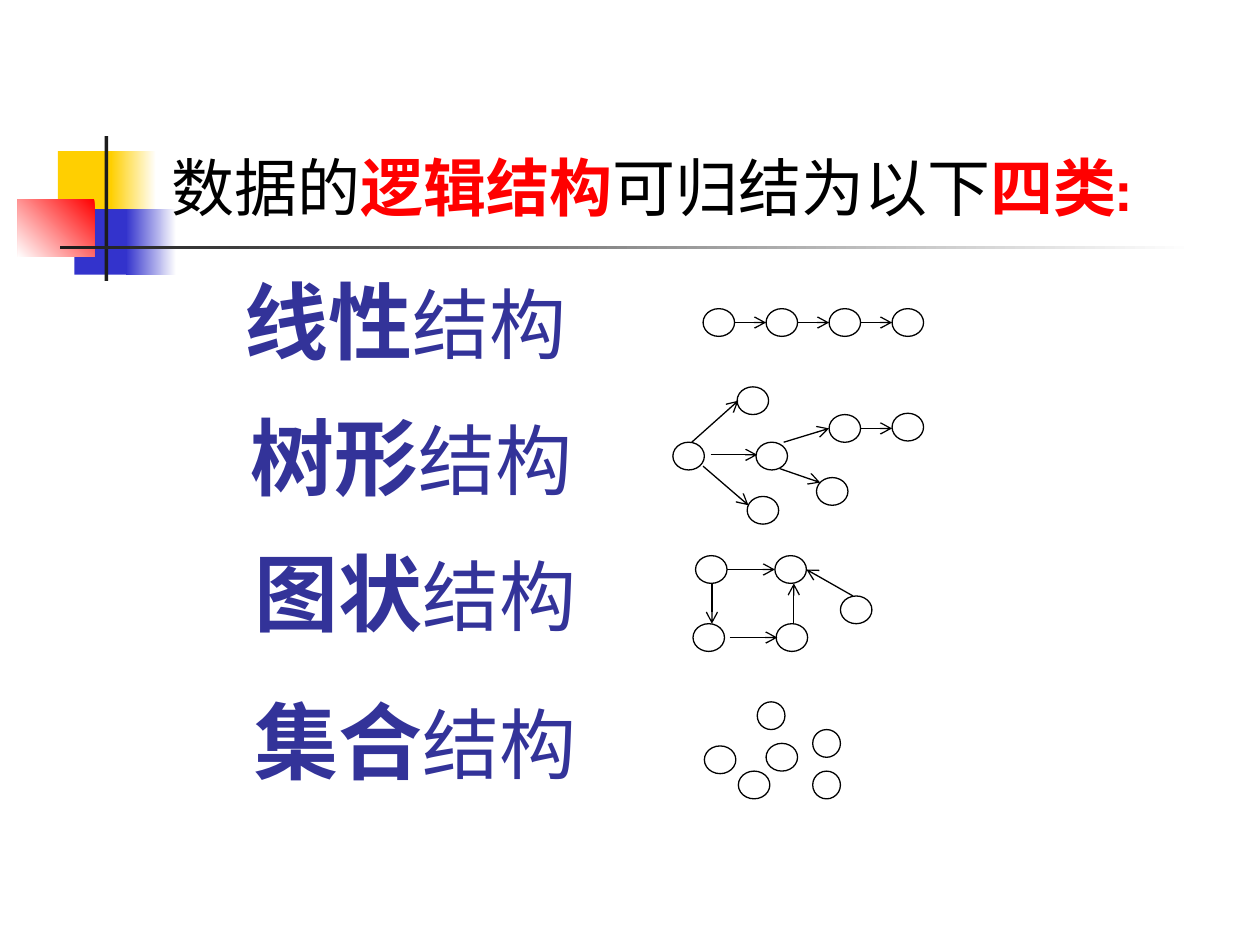
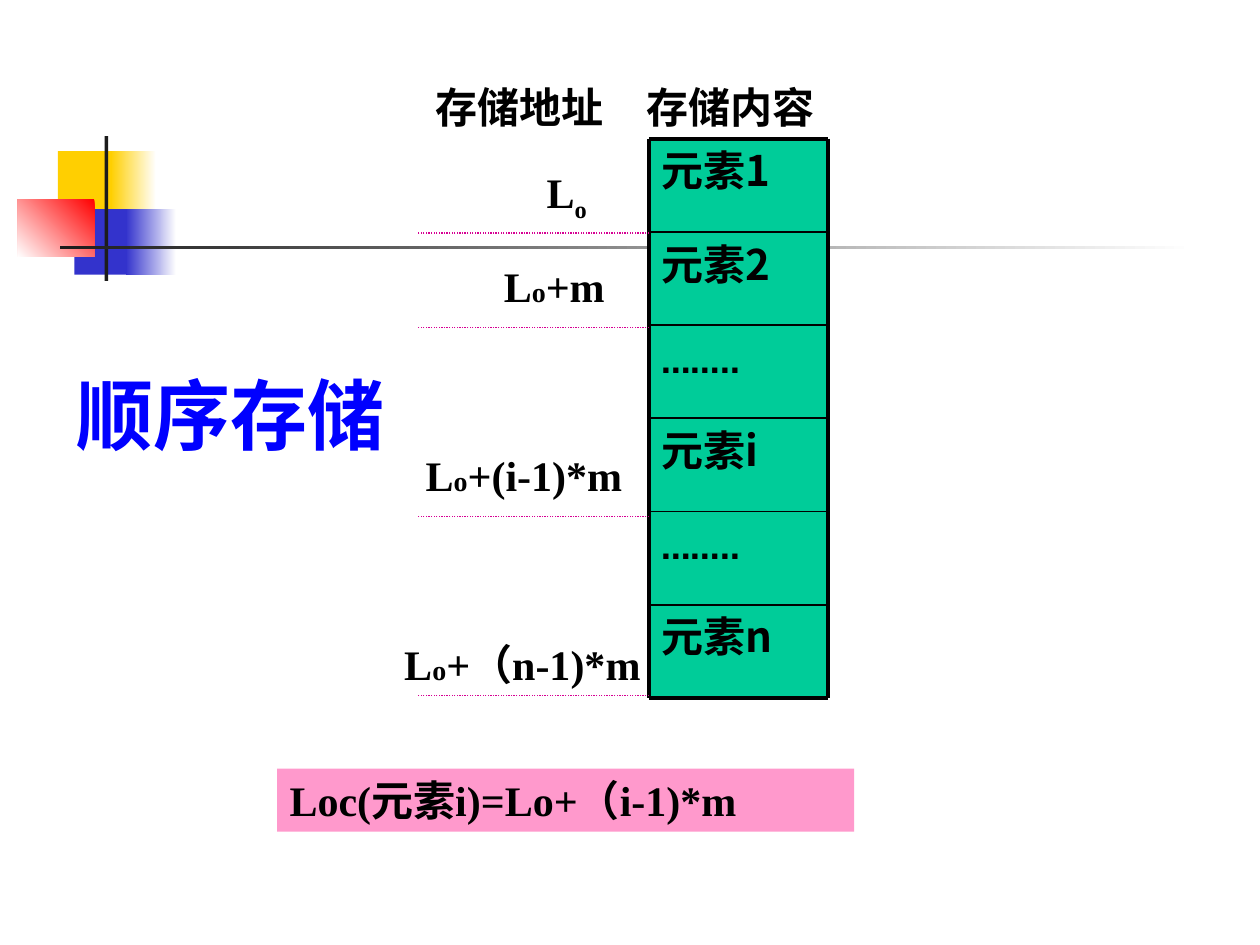
from dataclasses import dataclass
from typing import Any

import pptx
import pptx.dml.color
import pptx.enum.dml
import pptx.enum.shapes
import pptx.enum.text
import pptx.oxml
import pptx.oxml.ns
import pptx.util
from pptx.util import Inches

HUES = {
    "white": "FFFFFF", "black": "000000", "ink": "1C1C1C",
    "gold": "FFCF01", "blue": "3333CC", "red": "FF0000",
    "navy": "333399", "bright": "0000FF", "green": "00CC99",
    "pink": "FF99CC", "plum": "D60093",
}
SANS, HAN, SERIF = "Cabin", "Noto Sans CJK SC", "Times New Roman"
RECT = pptx.enum.shapes.MSO_SHAPE.RECTANGLE
OVAL = pptx.enum.shapes.MSO_SHAPE.OVAL
FIT = pptx.enum.text.MSO_AUTO_SIZE
ANCHOR = pptx.enum.text.MSO_ANCHOR
NODE = (0.25, 0.22)

Point = tuple[float, float]


@dataclass
class Box:
    left: float
    top: float
    width: float
    height: float

    def sides(self) -> tuple[Any, ...]:
        return tuple(map(Inches, (self.left, self.top, self.width, self.height)))


@dataclass
class Run:
    text: str
    size: float
    font: str = SERIF
    hue: str = "black"
    bold: bool = True
    sub: bool = False


@dataclass
class Part:
    box: Box
    start: str
    end: str = ""
    angle: float = 180


@dataclass
class Label:
    box: Box
    runs: list[Run]


@dataclass
class Graph:
    nodes: list[Point]
    arrows: list[tuple[Point, Point]]
    small: int = 0  # how many of the last nodes are narrow


# The band shared by both slides
BAND = [
    Part(Box(0.46, 1.2, 0.48, 0.52), "gold"),
    Part(Box(0.88, 1.2, 0.36, 0.52), "white", "gold"),
    Part(Box(0.59, 1.66, 0.46, 0.52), "blue"),
    Part(Box(1, 1.66, 0.4, 0.52), "white", "blue"),
    Part(Box(0.14, 1.58, 0.61, 0.46), "red", "white", 225),
    Part(Box(0.83, 1.08, 0.03, 1.15), "ink"),
    Part(Box(0.48, 1.95, 9, 0.03), "white", "ink"),
]

# Slide 1: the four kinds and their graphs
KINDS = [("线性", 1.84, 2.09), ("树形", 1.89, 3.17),
         ("图状", 1.92, 4.25), ("集合", 1.92, 5.42)]
CHAIN = [5.58 + 0.5 * i for i in range(4)]
GRAPHS = [
    Graph([(x, 2.45) for x in CHAIN],
          [((x + 0.25, 2.56), (x + 0.5, 2.56)) for x in CHAIN[:-1]]),
    Graph([(5.34, 3.51), (5.85, 3.07), (6, 3.51), (5.93, 3.94),
           (6.58, 3.29), (6.48, 3.79), (7.08, 3.28)],
          [((5.64, 3.61), (6.01, 3.61)), ((5.49, 3.51), (5.86, 3.18)),
           ((5.58, 3.7), (5.94, 4.01)), ((6.22, 3.51), (6.58, 3.4)),
           ((6.19, 3.72), (6.51, 3.83)), ((6.83, 3.4), (7.08, 3.4))]),
    Graph([(5.5, 4.95), (5.52, 4.41), (6.16, 4.95), (6.15, 4.41), (6.67, 4.73)],
          [((5.79, 5.06), (6.17, 5.06)), ((5.77, 4.52), (6.15, 4.52)),
           ((5.65, 4.63), (5.65, 4.95)), ((6.3, 4.95), (6.3, 4.63)),
           ((6.77, 4.73), (6.4, 4.52))]),
    Graph([(6.08, 5.9), (5.86, 6.12), (5.59, 5.92),
           (6.45, 6.12), (6.45, 5.79), (6.01, 5.57)], [], small=3),
]

# Slide 2: the store, its cells and their places
CELLS = ["元素1", "元素2", "……..", "元素i", "……..", "元素n"]
LEFT, RIGHT, TOP, STEP = 5.15, 6.57, 1.1, 0.74
BASE = TOP + STEP * len(CELLS)
DOTS = [1.85, 2.6, 4.1, 5.52]


def place(tail: str) -> list[Run]:
    return [Run("L", 24), Run("o", 16), Run(tail, 24)]


LABELS = [
    Label(Box(4.24, 1.27, 0.83, 0.56), [Run("L", 24), Run("o", 24, sub=True)]),
    Label(Box(3.9, 2.02, 1.17, 0.5), place("+m")),
    Label(Box(3.28, 3.52, 2.13, 0.5), place("+(i-1)*m")),
    Label(Box(3.11, 5.02, 2.08, 0.9), place("+（n-1)*m")),
    Label(Box(3.36, 0.6, 1.71, 0.5), [Run("存储地址", 24)]),
    Label(Box(5.03, 0.6, 1.58, 0.5), [Run("存储内容", 24)]),
]


def tint(hue: str) -> pptx.dml.color.RGBColor:
    return pptx.dml.color.RGBColor.from_string(HUES[hue])


def mark(parent: Any, tag: str, **attrs: str) -> None:
    """Append an empty drawing element."""
    node = pptx.oxml.parse_xml(f"<a:{tag} {pptx.oxml.ns.nsdecls('a')}/>")
    for key, value in attrs.items():
        node.set(key, value)
    parent.append(node)


def write(shape: Any, runs: list[Run], fit: Any = FIT.NONE,
          wrap: bool = True, anchor: Any = ANCHOR.TOP) -> None:
    frame = shape.text_frame
    frame.word_wrap = wrap
    frame.auto_size = fit
    frame.vertical_anchor = anchor
    para = frame.paragraphs[0]
    para.alignment = pptx.enum.text.PP_ALIGN.LEFT
    for item in runs:
        run = para.add_run()
        run.text = item.text
        font = run.font
        font.name, font.bold = item.font, item.bold
        font.size = pptx.util.Pt(item.size)
        font.color.rgb = tint(item.hue)
        props = run._r.get_or_add_rPr()
        if item.font == HAN:
            mark(props, "ea", typeface=HAN)
        if item.sub:
            props.set("baseline", "-25000")


def draw(shapes: Any, kind: Any, box: Box, fill: str, edge: str = "") -> Any:
    shape = shapes.add_shape(kind, *box.sides())
    shape.shadow.inherit = False
    shape.fill.solid()
    shape.fill.fore_color.rgb = tint(fill)
    if edge:
        shape.line.color.rgb = tint(edge)
        shape.line.width = pptx.util.Pt(0.75)
    else:
        shape.line.fill.background()
    return shape


def rule(shapes: Any, start: Point, end: Point, hue: str = "black",
         width: float = 0.75, arrow: bool = False, dots: bool = False) -> None:
    line = shapes.add_connector(pptx.enum.shapes.MSO_CONNECTOR.STRAIGHT,
                                *map(Inches, start + end))
    line.line.color.rgb = tint(hue)
    line.line.width = pptx.util.Pt(width)
    if dots:
        line.line.dash_style = pptx.enum.dml.MSO_LINE.ROUND_DOT
    if arrow:
        mark(line.line._get_or_add_ln(), "tailEnd", type="arrow")
    mark(line.element.spPr, "effectLst")


def label(shapes: Any, item: Label, wrap: bool = True) -> None:
    write(shapes.add_textbox(*item.box.sides()), item.runs,
          FIT.SHAPE_TO_FIT_TEXT, wrap)


def title(slide: Any, box: Box, runs: list[Run]) -> None:
    head = slide.shapes.title
    head.left, head.top, head.width, head.height = box.sides()
    write(head, runs, anchor=ANCHOR.BOTTOM)


def band(deck: Any, slide: Any) -> None:
    """Draw the band once and move it to the slide master."""
    tree = deck.slide_master.shapes.element
    for index, part in enumerate(BAND):
        shape = draw(slide.shapes, RECT, part.box, part.start)
        if part.end:
            shape.fill.gradient()
            shape.fill.gradient_angle = part.angle
            for stop, hue in zip(shape.fill.gradient_stops, (part.start, part.end)):
                stop.color.rgb = tint(hue)
        shape.element.nvSpPr.cNvPr.set("id", str(20 + index))
        tree.append(shape.element)


def kinds(slide: Any) -> None:
    title(slide, Box(1.26, 0.23, 8.52, 1.6), [
        Run("数据的", 36, SANS, bold=False),
        Run("逻辑结构", 36, SANS, "red"),
        Run("可归结为以下", 36, SANS, bold=False),
        Run("四类:", 36, SANS, "red"),
    ])
    for name, left, top in KINDS:
        runs = [Run(name, 48, HAN, "navy"), Run("结构", 44, HAN, "navy", False)]
        label(slide.shapes, Label(Box(left, top, 2.8, 0.9), runs), wrap=False)
    for graph in GRAPHS:
        group = slide.shapes.add_group_shape().shapes
        wide = len(graph.nodes) - graph.small
        for index, (left, top) in enumerate(graph.nodes):
            width, height = NODE if index < wide else (0.22, 0.22)
            draw(group, OVAL, Box(left, top, width, height), "white", "black")
        for start, end in graph.arrows:
            rule(group, start, end, arrow=True)


def store(slide: Any) -> None:
    title(slide, Box(0.51, 2.1, 8.52, 1.6), [Run("顺序存储", 44, SANS, "bright")])
    group = slide.shapes.add_group_shape().shapes
    # Cells and their frame
    for row, text in enumerate(CELLS):
        cell = draw(group, RECT, Box(LEFT, TOP + row * STEP, RIGHT - LEFT, STEP), "green")
        write(cell, [Run(text, 24, HAN if text.startswith("元素") else SANS)])
    for row in range(len(CELLS) + 1):
        y = TOP + row * STEP
        rule(group, (LEFT, y), (RIGHT, y), width=1 if 0 < row < len(CELLS) else 2.25)
    for x in (LEFT, RIGHT):
        rule(group, (x, TOP), (x, BASE), width=2.25)
    # Places, dotted rules and the formula
    for item in LABELS:
        label(group, item)
    for y in DOTS:
        rule(group, (LEFT, y), (3.32, y), "plum", dots=True)
    note = draw(group, RECT, Box(2.2, 6.1, 4.58, 0.5), "pink")
    write(note, [Run("Loc(元素i)=Lo+（i-1)*m", 24)], FIT.SHAPE_TO_FIT_TEXT)


def main() -> None:
    deck = pptx.Presentation()
    deck.slide_width, deck.slide_height = Inches(10), Inches(7.5)
    plain = deck.slide_layouts[5]
    first, second = (deck.slides.add_slide(plain) for _ in range(2))
    band(deck, first)
    kinds(first)
    store(second)
    deck.save("out.pptx")


if __name__ == "__main__":
    main()
